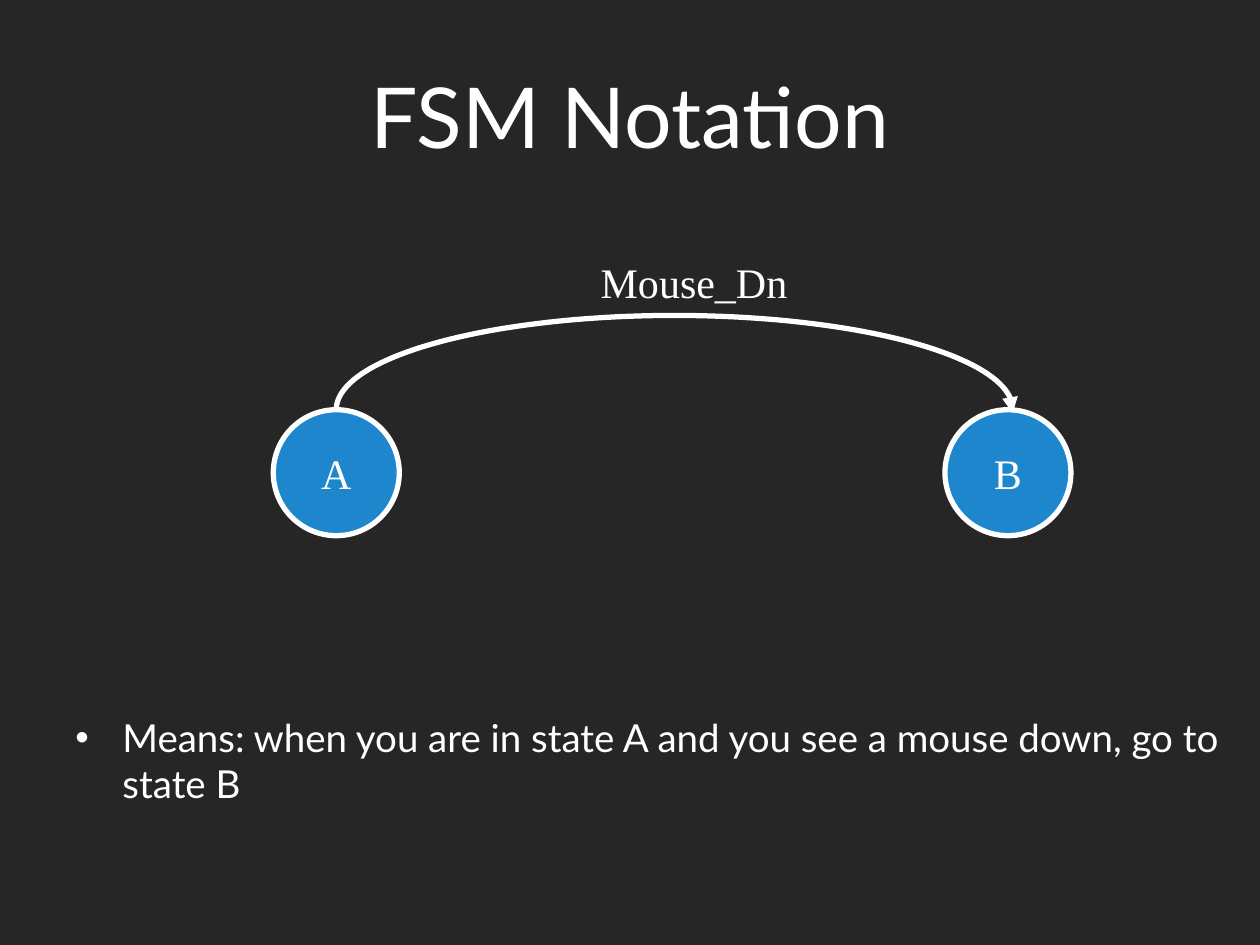
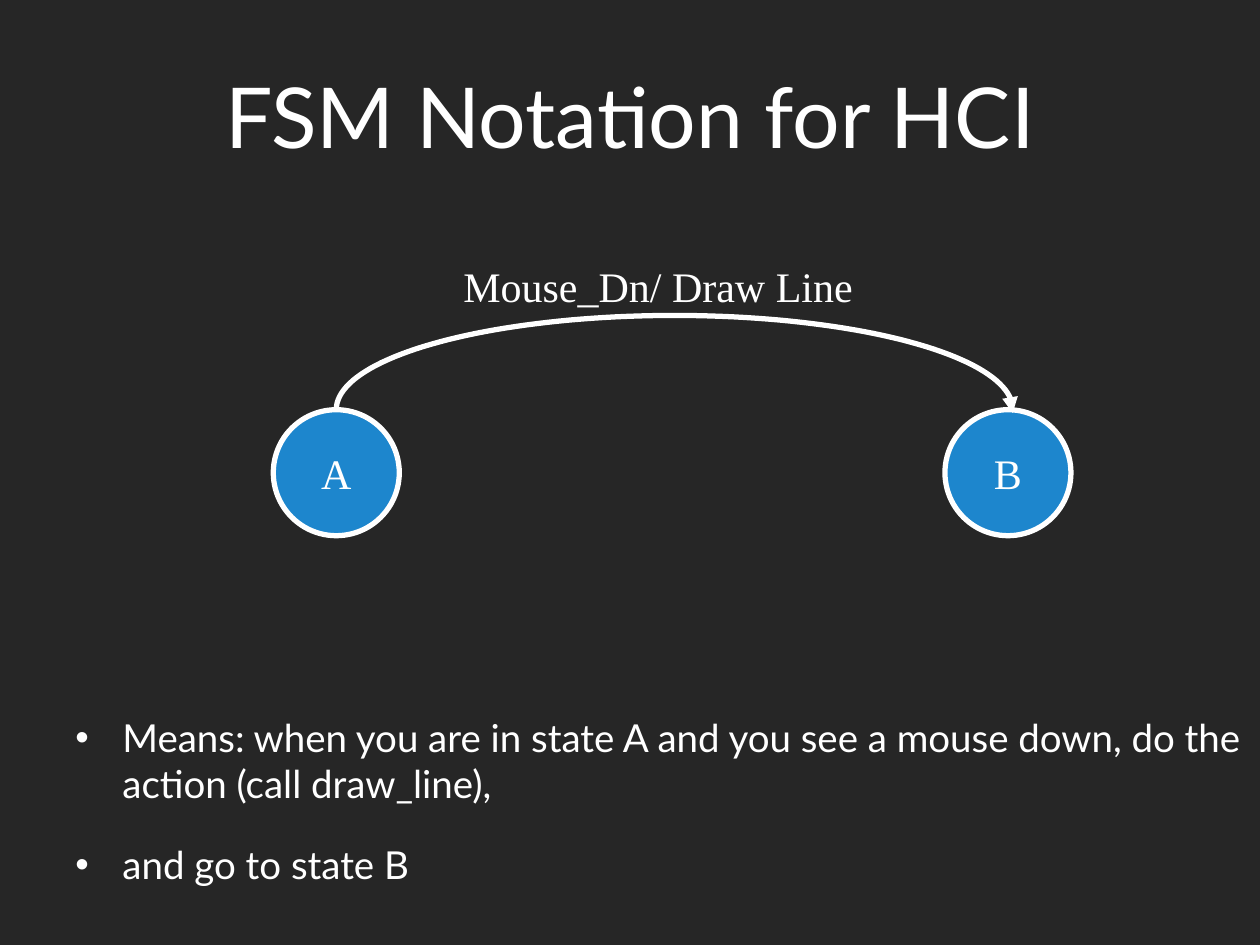
from math import cos, radians, sin

from lxml.etree import SubElement
from pptx import Presentation
from pptx.dml.color import RGBColor
from pptx.enum.shapes import MSO_SHAPE as SHAPE
from pptx.enum.text import MSO_ANCHOR as ANCHOR, MSO_AUTO_SIZE as AUTO, PP_ALIGN as ALIGN
from pptx.oxml.ns import qn
from pptx.util import Cm, Pt

# Colours and fonts
DARK = RGBColor(0x26, 0x26, 0x26)
BLUE = RGBColor(0x1D, 0x86, 0xCD)
WHITE = RGBColor(0xFF, 0xFF, 0xFF)
SANS, SERIF = "Lato", "Times New Roman"

# State diagram, in cm
STATE_SIZE, STATE_TOP = 2.54, 8.26
STATES = {"A": 5.51, "B": 19.05}
ARC_X, ARC_RX, ARC_RY = 13.6, 6.82, 1.9
ARC_END, ARC_STEP = 362, 2  # degrees; the arc starts at 180


def add_text(p, text, font=SANS, size=22, align=ALIGN.LEFT):
    p.alignment = align
    r = p.add_run()
    r.text = text
    r.font.name, r.font.size = font, Pt(size)
    r.font.color.rgb = WHITE


class Deck:
    def __init__(self):
        self.prs = Presentation()
        self.prs.slide_width, self.prs.slide_height = Cm(25.4), Cm(19.05)
        self.slide = None

    def new_slide(self, title):
        self.slide = self.prs.slides.add_slide(self.prs.slide_layouts[6])
        fill = self.slide.background.fill
        fill.solid()
        fill.fore_color.rgb = DARK
        tf = self.text_box(1.9, 0.33, 21.6, 3.96)
        tf.vertical_anchor = ANCHOR.MIDDLE
        add_text(tf.paragraphs[0], title, size=48, align=ALIGN.CENTER)

    def text_box(self, left, top, width, height, wrap=True):
        sp = self.slide.shapes.add_textbox(Cm(left), Cm(top), Cm(width), Cm(height))
        sp.text_frame.word_wrap = wrap
        return sp.text_frame

    def outline(self, sp):
        sp.shadow.inherit = False
        sp.line.color.rgb = WHITE
        sp.line.width = Pt(3)

    def state(self, name, left):
        sp = self.slide.shapes.add_shape(
            SHAPE.OVAL, Cm(left), Cm(STATE_TOP), Cm(STATE_SIZE), Cm(STATE_SIZE))
        self.outline(sp)
        sp.fill.solid()
        sp.fill.fore_color.rgb = BLUE
        tf = sp.text_frame
        tf.word_wrap = False
        tf.vertical_anchor = ANCHOR.MIDDLE
        add_text(tf.paragraphs[0], name, SERIF, 24, ALIGN.CENTER)

    def transition(self):
        points = [(Cm(ARC_X + ARC_RX * cos(radians(a))),
                   Cm(STATE_TOP + ARC_RY * sin(radians(a))))
                  for a in range(180, ARC_END + 1, ARC_STEP)]
        builder = self.slide.shapes.build_freeform(*points[0])
        builder.add_line_segments(points[1:], close=False)
        sp = builder.convert_to_shape()
        sp.fill.background()
        self.outline(sp)
        # Arrowhead at state B
        ln = sp.element.spPr.find(qn("a:ln"))
        SubElement(ln, qn("a:tailEnd"), type="triangle")

    def label(self, text, left, top, width):
        tf = self.text_box(left, top, width, 1.3, wrap=False)
        tf.auto_size = AUTO.SHAPE_TO_FIT_TEXT
        add_text(tf.paragraphs[0], text, SERIF, 24)

    def bullets(self, items):
        tf = self.text_box(1.27, 14.27, 24.13, 4.14)
        for i, item in enumerate(items):
            p = tf.add_paragraph() if i else tf.paragraphs[0]
            add_text(p, item)
            if i:
                p.space_before = Pt(20)
            pPr = p._p.get_or_add_pPr()
            pPr.set("marL", str(Cm(0.95)))
            pPr.set("indent", str(-Cm(0.95)))
            SubElement(pPr, qn("a:buFont"), typeface="Arial")
            SubElement(pPr, qn("a:buChar"), char="•")


# Title, transition label with its left, top and width, bullets
SLIDES = [
    ("FSM Notation", ("Mouse_Dn", 11.86, 5.05, 4.32),
     ["Means: when you are in state A and you see a mouse down, go to state B"]),
    ("FSM Notation for HCI", ("Mouse_Dn/ Draw Line", 9.09, 5.13, 8.43),
     ["Means: when you are in state A and you see a mouse down, "
      "do the action (call draw_line),",
      "and go to state B"]),
]


def main():
    deck = Deck()
    for title, label, items in SLIDES:
        deck.new_slide(title)
        deck.bullets(items)
        for name, left in STATES.items():
            deck.state(name, left)
        deck.transition()
        deck.label(*label)
    deck.prs.save("out.pptx")


if __name__ == "__main__":
    main()
